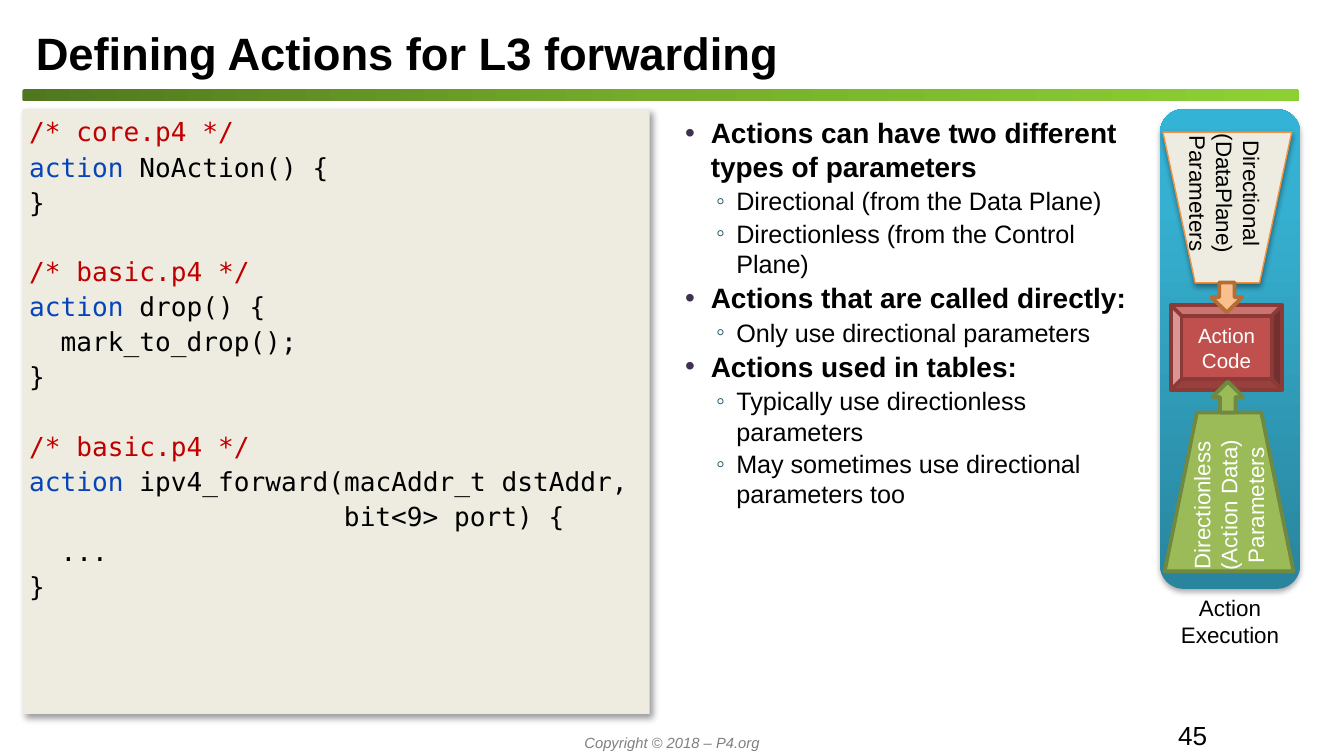
from lxml import etree
from pptx import Presentation
from pptx.dml.color import RGBColor
from pptx.enum.shapes import MSO_SHAPE
from pptx.enum.text import MSO_ANCHOR, MSO_AUTO_SIZE, PP_ALIGN
from pptx.oxml.ns import qn
from pptx.util import Pt

RECT, ROUND = MSO_SHAPE.RECTANGLE, MSO_SHAPE.ROUNDED_RECTANGLE
TRAPEZOID, BEVEL, ARROW = MSO_SHAPE.TRAPEZOID, MSO_SHAPE.BEVEL, MSO_SHAPE.UP_ARROW
LEFT, CENTER = PP_ALIGN.LEFT, PP_ALIGN.CENTER
TOP, MIDDLE = MSO_ANCHOR.TOP, MSO_ANCHOR.MIDDLE
NO_FIT = MSO_AUTO_SIZE.NONE

SANS, MONO = "Arial", "DejaVu Sans Mono"
BLACK, WHITE, CREAM, GREEN, OLIVE = "000000", "FFFFFF", "EEECE1", "9BBB59", "718840"
COMMENT, KEYWORD = "C00000", "0744B8"
MARGINS = (7.2, 3.6, 7.2, 3.6)
CODE_GAP, CODE_LINE = 2, 18.3

CODE = [
    [[("/* core.p4 */", COMMENT)],
     [("action", KEYWORD), (" NoAction() {", BLACK)],
     [("}", BLACK)]],
    [[("/* basic.p4 */", COMMENT)],
     [("action", KEYWORD), (" drop() {", BLACK)],
     [("  mark_to_drop();", BLACK)],
     [("}", BLACK)]],
    [[("/* basic.p4 */", COMMENT)],
     [("action", KEYWORD), (" ipv4_forward(macAddr_t dstAddr,", BLACK)],
     [("                    bit<9> port) {", BLACK)],
     [("  ...", BLACK)],
     [("}", BLACK)]],
]

POINTS = [
    (0, "Actions can have two different types of parameters"),
    (1, "Directional (from the Data Plane)"),
    (1, "Directionless (from the Control Plane)"),
    (0, "Actions that are called directly:"),
    (1, "Only use directional parameters"),
    (0, "Actions used in tables:"),
    (1, "Typically use directionless parameters"),
    (1, "May sometimes use directional parameters too"),
]

LEVELS = [
    dict(indent=13.7, hang=13.7, char="•", color="3F3151", size=15, bold=True),
    dict(indent=27.4, hang=10.8, char="◦", color="205867", size=13.5, bold=False),
]


def rgb(value):
    return RGBColor.from_string(value)


def place(sp, box):
    sp.left, sp.top, sp.width, sp.height = (Pt(v) for v in box)


def add_xml(parent, tag, **attrs):
    return etree.SubElement(parent, qn(tag), {k: str(v) for k, v in attrs.items()})


def add_run(p, text, size, color=BLACK, font=SANS, bold=False, italic=False):
    r = p.add_run()
    r.text = text
    r.font.name, r.font.size = font, Pt(size)
    r.font.bold, r.font.italic = bold, italic
    r.font.color.rgb = rgb(color)


def set_frame(sp, margins=MARGINS, anchor=TOP):
    tf = sp.text_frame
    tf.word_wrap, tf.auto_size, tf.vertical_anchor = True, NO_FIT, anchor
    tf.margin_left, tf.margin_top, tf.margin_right, tf.margin_bottom = (Pt(m) for m in margins)
    return tf


def set_text(sp, text, size, align=CENTER, margins=MARGINS, anchor=TOP, **style):
    p = set_frame(sp, margins, anchor).paragraphs[0]
    p.alignment = align
    add_run(p, text, size, **style)


def add_label(shapes, box, text, size, rotation=0, **style):
    sp = shapes.add_textbox(*(Pt(v) for v in box))
    sp.rotation = rotation
    set_text(sp, text, size, **style)


def add_shape(shapes, kind, box, fill=None, line=None, width=2, rotation=0, adjust=None):
    sp = shapes.add_shape(kind, *(Pt(v) for v in box))
    sp.shadow.inherit = False
    sp.rotation = rotation
    if adjust is not None:
        sp.adjustments[0] = adjust
    if fill:
        sp.fill.solid()
        sp.fill.fore_color.rgb = rgb(fill)
    if line:
        sp.line.color.rgb = rgb(line)
        sp.line.width = Pt(width)
    else:
        sp.line.fill.background()
    return sp


def set_gradient(sp, stops, angle):
    sp.fill.gradient()
    grad = sp._element.spPr.find(qn("a:gradFill"))
    for child in list(grad):
        grad.remove(child)
    gs_list = add_xml(grad, "a:gsLst")
    for pos, color in stops:
        gs = add_xml(gs_list, "a:gs", pos=pos * 1000)
        add_xml(gs, "a:srgbClr", val=color)
    add_xml(grad, "a:lin", ang=angle * 60000, scaled=0)


def add_shadow(sp, alpha, blur, dist, angle):
    effects = sp._element.spPr.find(qn("a:effectLst"))
    shadow = add_xml(effects, "a:outerShdw", blurRad=Pt(blur), dist=Pt(dist),
                     dir=angle * 60000, algn="ctr", rotWithShape=0)
    color = add_xml(shadow, "a:srgbClr", val=BLACK)
    add_xml(color, "a:alpha", val=alpha * 1000)


def add_code(shapes):
    sp = add_shape(shapes, RECT, (12, 58.5, 336, 324), CREAM)
    add_shadow(sp, 40, 4, 3, 45)
    tf = set_frame(sp, (3.6,) * 4)
    p = None
    for block in CODE:
        for i, line in enumerate(block):
            if p is None:
                p = tf.paragraphs[0]
            else:
                p = tf.add_paragraph()
                p.space_before = Pt(CODE_GAP if i else CODE_GAP + CODE_LINE)
            p.alignment = LEFT
            for text, color in line:
                add_run(p, text, 14, color, MONO)


def add_points(shapes):
    sp = shapes.add_textbox(Pt(360), Pt(58.5), Pt(253.5), Pt(324))
    tf = set_frame(sp)
    for i, (level, text) in enumerate(POINTS):
        style = LEVELS[level]
        p = tf.add_paragraph() if i else tf.paragraphs[0]
        p.level = level
        pPr = p._p.get_or_add_pPr()
        pPr.set("marL", str(Pt(style["indent"])))
        pPr.set("indent", str(-Pt(style["hang"])))
        add_xml(add_xml(pPr, "a:buClr"), "a:srgbClr", val=style["color"])
        add_xml(pPr, "a:buFont", typeface=SANS)
        add_xml(pPr, "a:buChar", char=style["char"])
        if i:
            p.space_before = Pt(1.3)
        add_run(p, text, style["size"], bold=style["bold"])


def add_execution(shapes):
    panel = add_shape(shapes, ROUND, (621.5, 58.5, 75, 257), adjust=0.167)
    set_gradient(panel, [(0, "29859E"), (80, "36B0D0"), (100, "33B3D5")], 270)
    add_shadow(panel, 33, 3.1, 1.8, 90)

    data_plane = add_shape(shapes, TRAPEZOID, (623, 70.8, 69, 80.7), CREAM, "F5913F",
                           0.75, rotation=180, adjust=0.25)
    add_shadow(data_plane, 36, 3.1, 1.6, 90)
    add_label(shapes, (623.5, 80.6, 67, 46), "Directional (DataPlane) Parameters", 12,
              rotation=90, margins=(0, 1.4, 0, 0), anchor=MIDDLE)

    add_shape(shapes, TRAPEZOID, (624, 221, 69, 85), GREEN, OLIVE, adjust=0.25)
    add_label(shapes, (622.8, 247.7, 70.5, 46), "Directionless (Action Data) Parameters", 12,
              rotation=270, margins=(0,) * 4, anchor=MIDDLE, color=WHITE)

    action = add_shape(shapes, BEVEL, (627.3, 163.5, 59.7, 45.4), "C0504D", "8C3A38")
    set_text(action, "Action Code", 11, anchor=MIDDLE, color=WHITE)
    add_shape(shapes, ARROW, (649.5, 204.5, 16.5, 16.5), GREEN, OLIVE)
    add_shape(shapes, ARROW, (649, 151.3, 16.5, 16), "FABF8E", "B46D33", rotation=180)
    add_label(shapes, (621.5, 314.8, 75, 36), "Action Execution", 12)


def main():
    prs = Presentation()
    prs.slide_width, prs.slide_height = Pt(720), Pt(405)
    s = prs.slides.add_slide(prs.slide_layouts[5])
    title = s.shapes.title
    place(title, (12, 10, 684, 37.5))
    set_text(title, "Defining Actions for L3 forwarding", 24.3, align=LEFT, bold=True)

    bar = add_shape(s.shapes, ROUND, (12, 47.8, 684, 6.5), adjust=0.167)
    set_gradient(bar, [(0, "50771E"), (50, "76AD2B"), (100, "8DD034")], 0)
    add_code(s.shapes)
    add_points(s.shapes)
    add_execution(s.shapes.add_group_shape().shapes)
    add_label(s.shapes, (84, 389.5, 552, 16.5), "Copyright © 2018 – P4.org", 7.9,
              color="7F7F7F", italic=True)
    add_label(s.shapes, (624, 388, 84, 12), "45", 14, align=LEFT, anchor=MIDDLE)
    prs.save("out.pptx")


if __name__ == "__main__":
    main()
